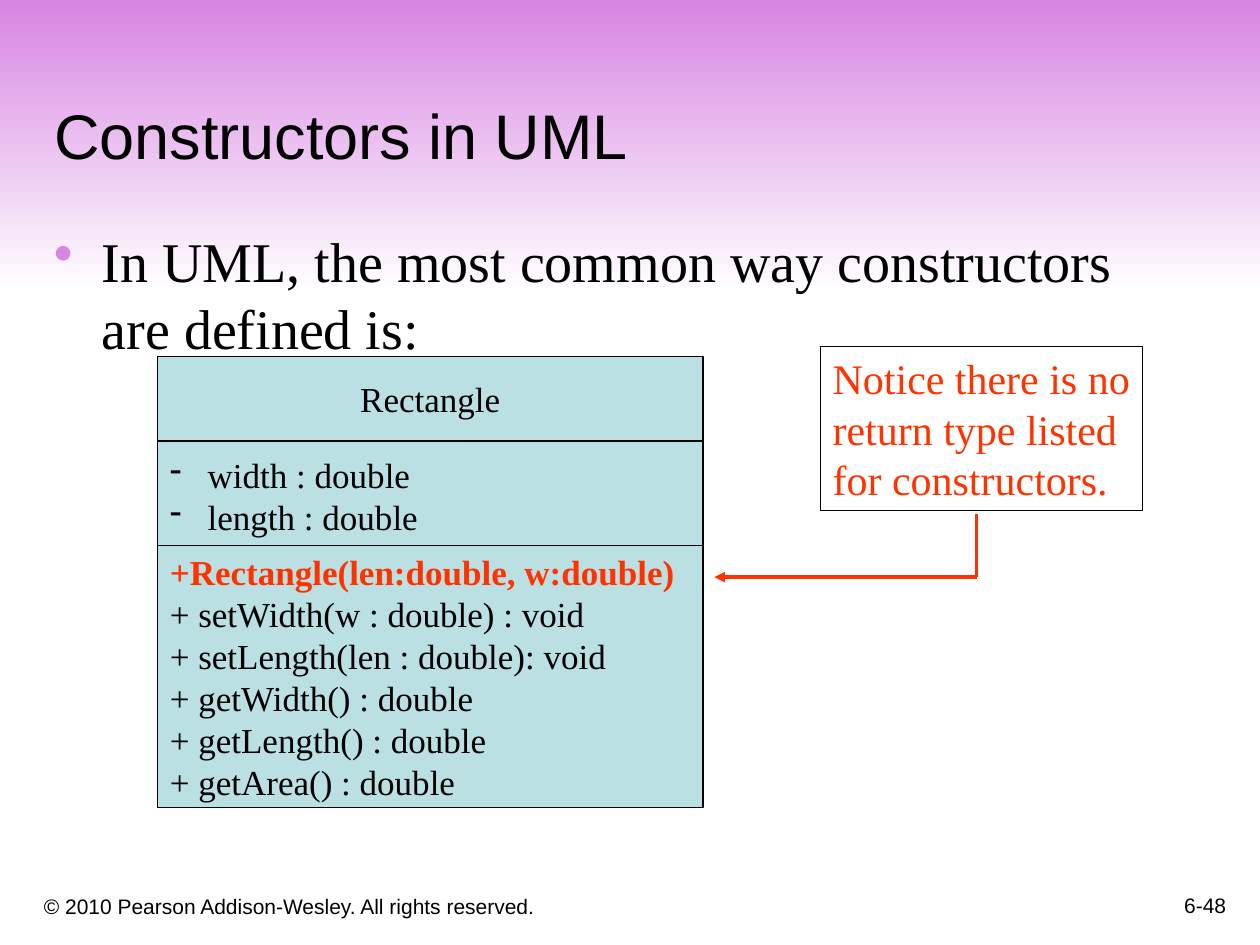
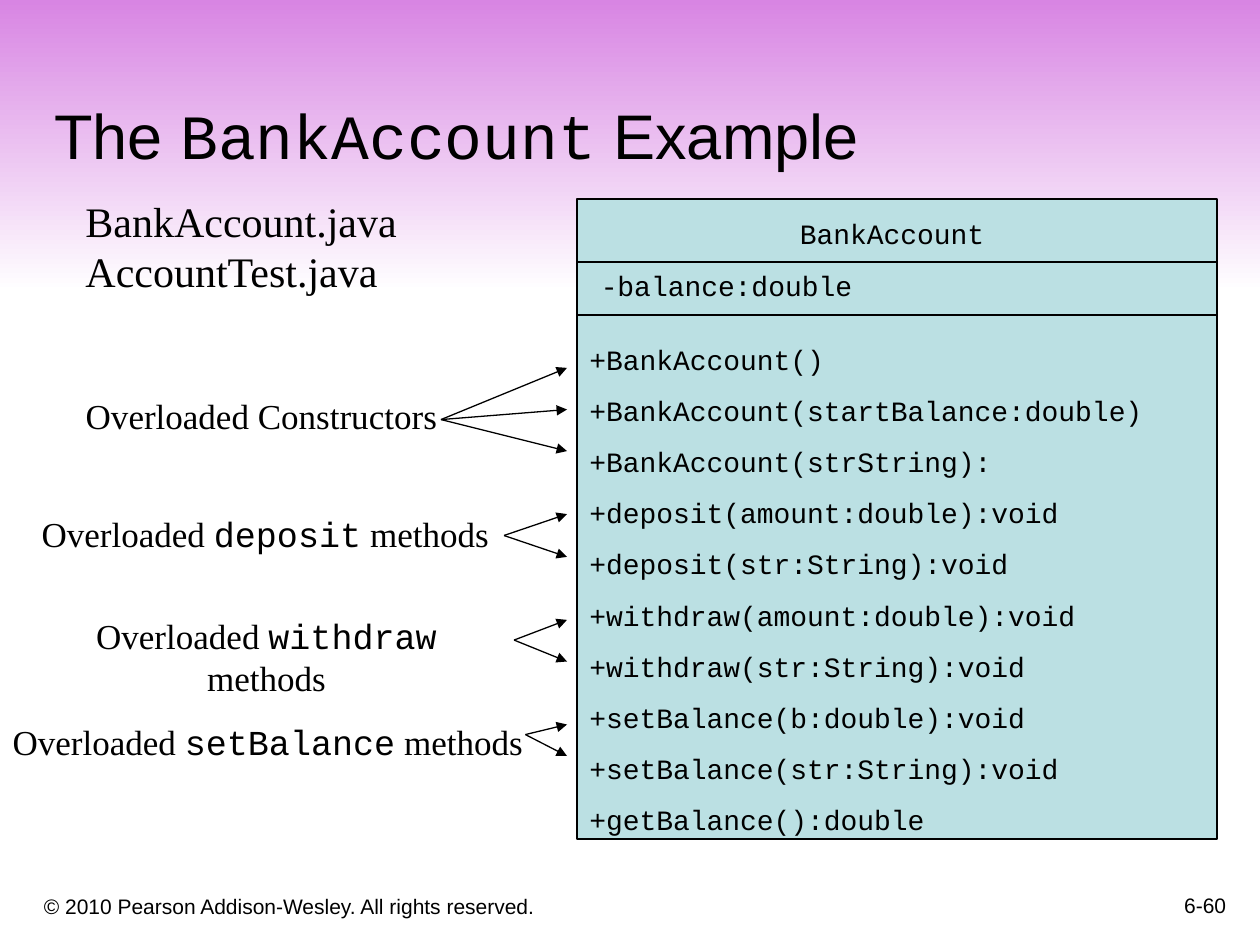
from lxml.etree import SubElement
from pptx import Presentation
from pptx.dml.color import RGBColor
from pptx.enum.shapes import MSO_CONNECTOR, MSO_SHAPE
from pptx.enum.text import MSO_ANCHOR, PP_ALIGN
from pptx.oxml.ns import qn
from pptx.util import Inches, Pt

COLORS = {"violet": "D885E3", "white": "FFFFFF", "black": "000000",
          "teal": "BBE0E3", "red": "FF3300"}
SANS, SERIF, MONO = "Arial", "Times New Roman", "Courier New"
LINE_HEIGHT = 1.2
COPYRIGHT = "© 2010 Pearson Addison-Wesley. All rights reserved."


def rgb(name):
    return RGBColor.from_string(COLORS[name])


def inches(*values):
    return [Inches(v) for v in values]


def format_run(r, size, font, color="black", bold=False):
    for key, value in {"size": Pt(size), "name": font, "bold": bold}.items():
        setattr(r.font, key, value)
    r.font.color.rgb = rgb(color)


def write(tf, lines, size, font, color="black", align=PP_ALIGN.LEFT,
          anchor=MSO_ANCHOR.TOP, wrap=True, gap=0, spacing=LINE_HEIGHT):
    """Fill a frame; each line is a string or a list of (text, run format)."""
    frame = {"word_wrap": wrap, "vertical_anchor": anchor,
             "margin_left": Inches(0.1), "margin_right": Inches(0.1),
             "margin_top": Inches(0.05), "margin_bottom": Inches(0.05)}
    for key, value in frame.items():
        setattr(tf, key, value)
    for i, line in enumerate(lines):
        p = tf.add_paragraph() if i else tf.paragraphs[0]
        p.alignment = align
        p.space_before = Pt(gap if i else 0)
        if spacing:
            p.line_spacing = Pt(size * spacing)
        for text, style in [(line, {})] if isinstance(line, str) else line:
            r = p.add_run()
            r.text = text
            format_run(r, **{"size": size, "font": font, "color": color, **style})


def add_text(slide, box, lines, size, font, **style):
    sp = slide.shapes.add_textbox(*inches(*box))
    write(sp.text_frame, lines, size, font, **style)
    return sp


def add_box(slide, box, fill=None, line="black"):
    sp = slide.shapes.add_shape(MSO_SHAPE.RECTANGLE, *inches(*box))
    sp.shadow.inherit = False
    if fill:
        sp.fill.solid()
        sp.fill.fore_color.rgb = rgb(fill)
    else:
        sp.fill.background()
    if line:
        sp.line.color.rgb = rgb(line)
        sp.line.width = Pt(0.75)
    else:
        sp.line.fill.background()
    return sp


def add_line(slide, start, end, color="black", width=0.75, arrow=False):
    cxn = slide.shapes.add_connector(MSO_CONNECTOR.STRAIGHT, *inches(*start, *end))
    cxn.line.color.rgb = rgb(color)
    cxn.line.width = Pt(width)
    if arrow:
        ln = cxn.element.spPr.find(qn("a:ln"))
        SubElement(ln, qn("a:tailEnd"), type="triangle")
    SubElement(cxn.element.spPr, qn("a:effectLst"))


def add_bullets(tf, char, indent, color):
    for p in tf.paragraphs:
        pPr = p._p.get_or_add_pPr()
        pPr.set("marL", str(Inches(indent)))
        pPr.set("indent", str(-Inches(indent)))
        bu_color = SubElement(pPr, qn("a:buClr"))
        SubElement(bu_color, qn("a:srgbClr"), val=COLORS[color])
        SubElement(pPr, qn("a:buChar"), char=char)


def add_base(prs, title, number):
    """Start a slide with its gradient band, title, copyright and number."""
    slide = prs.slides.add_slide(prs.slide_layouts[5])
    band = add_box(slide, (0, 0, 10, 2.32), line=None)
    band.fill.gradient()
    band.fill.gradient_angle = 270
    for stop, pos, color in zip(band.fill.gradient_stops, (0, 1), ("violet", "white")):
        stop.position = pos
        stop.color.rgb = rgb(color)
    band.element.getparent().insert(2, band.element)

    sp = slide.shapes.title
    sp.left, sp.top, sp.width, sp.height = inches(0.33, 0.33, 9.42, 1.09)
    write(sp.text_frame, [title], 36, SANS, anchor=MSO_ANCHOR.BOTTOM, spacing=None)
    footer = {"anchor": MSO_ANCHOR.BOTTOM, "spacing": None}
    add_text(slide, (0.25, 6.92, 6.08, 0.42), [COPYRIGHT], 12, SANS, **footer)
    add_text(slide, (7.75, 6.83, 2.08, 0.5), [number], 12, SANS,
             align=PP_ALIGN.RIGHT, **footer)
    return slide


def add_rectangle_class(slide, left, top, width):
    name, fields, methods = (
        ["Rectangle"],
        ["width : double", "length : double"],
        [[("+Rectangle(len:double, w:double)", {"color": "red", "bold": True})],
         "+ setWidth(w : double) : void", "+ setLength(len : double): void",
         "+ getWidth() : double", "+ getLength() : double", "+ getArea() : double"])
    parts = [(name, 0, 0.67, PP_ALIGN.CENTER), (fields, 0.67, 0.86, PP_ALIGN.LEFT),
             (methods, 1.5, 2.08, PP_ALIGN.LEFT)]
    for lines, dy, height, align in parts:
        sp = add_box(slide, (left, top + dy, width, height), "teal")
        write(sp.text_frame, lines, 20, SERIF, align=align, anchor=MSO_ANCHOR.MIDDLE)
        if lines is fields:
            add_bullets(sp.text_frame, "-", 0.3, "black")


def add_callout(slide, left, top, width, height):
    sp = add_box(slide, (left, top, width, height))
    write(sp.text_frame,
          ["Notice there is no", "return type listed", "for constructors."],
          24, SERIF, color="red", wrap=False)
    x, y = left + 1.24, top + 1.83
    add_line(slide, (x, y), (x - 2.08, y), "red", 2, arrow=True)
    add_line(slide, (x, y - 0.5), (x, y), "red", 2)


def add_account_class(slide, left, top, width, height):
    add_box(slide, (left, top, width, height), "teal")
    for dy in (0.5, 0.92):
        add_line(slide, (left, top + dy), (left + width, top + dy))
    add_text(slide, (left, top + 0.09, 5, 0.37), ["BankAccount"], 16, MONO,
             align=PP_ALIGN.CENTER)
    add_text(slide, (left + 0.09, top + 0.5, 4.5, 0.37), ["-balance:double"], 16, MONO)
    methods = ["BankAccount()", "BankAccount(startBalance:double)",
               "BankAccount(strString):",
               "deposit(amount:double):void", "deposit(str:String):void",
               "withdraw(amount:double):void", "withdraw(str:String):void",
               "setBalance(b:double):void", "setBalance(str:String):void",
               "getBalance():double"]
    add_text(slide, (left, top + 1.09, width, 4.02), ["+" + m for m in methods],
             16, MONO, gap=10)


def add_overload_label(slide, box, line, start, tips):
    """Place a label and fan arrows from start to the tips beside the class."""
    add_text(slide, box, [line], 20, SERIF, align=PP_ALIGN.CENTER, wrap=False)
    for y in tips:
        add_line(slide, start, (4.5, y), arrow=True)


def build_constructors(prs):
    slide = add_base(prs, "Constructors in UML", "6-48")
    body = add_text(slide, (0.33, 1.75, 9.07, 1.2),
                    ["In UML, the most common way constructors are defined is:"], 32, SERIF)
    add_bullets(body.text_frame, "•", 0.38, "violet")
    add_rectangle_class(slide, 1.25, 2.83, 4.33)
    add_callout(slide, 6.51, 2.75, 2.56, 1.3)


def build_bank_account(prs):
    mono = {"font": MONO}
    slide = add_base(prs, [("The ", {}), ("BankAccount", mono), (" Example", {})], "6-60")
    add_text(slide, (0.58, 1.5, 3.08, 0.9), ["BankAccount.java", "AccountTest.java"],
             24, SERIF)
    add_account_class(slide, 4.58, 1.58, 5.08, 5.08)
    add_overload_label(slide, (0.58, 3.08, 2.99, 0.44), "Overloaded Constructors",
                       (3.5, 3.33), (2.92, 3.25, 3.58))
    methods = [("deposit", (0.23, 4.02, 3.75, 0.44), (4, 4.25), (4.08, 4.42)),
               ("withdraw", (0.16, 4.83, 3.91, 0.44), (4.08, 5.08), (4.92, 5.25)),
               ("setBalance", (0, 5.67, 4.25, 0.44), (4.17, 5.83), (5.75, 6))]
    for name, box, start, tips in methods:
        line = [("Overloaded ", {}), (name, mono), (" methods", {})]
        add_overload_label(slide, box, line, start, tips)


def main():
    prs = Presentation()
    prs.slide_width, prs.slide_height = inches(10, 7.5)
    build_constructors(prs)
    build_bank_account(prs)
    prs.save("out.pptx")


if __name__ == "__main__":
    main()
